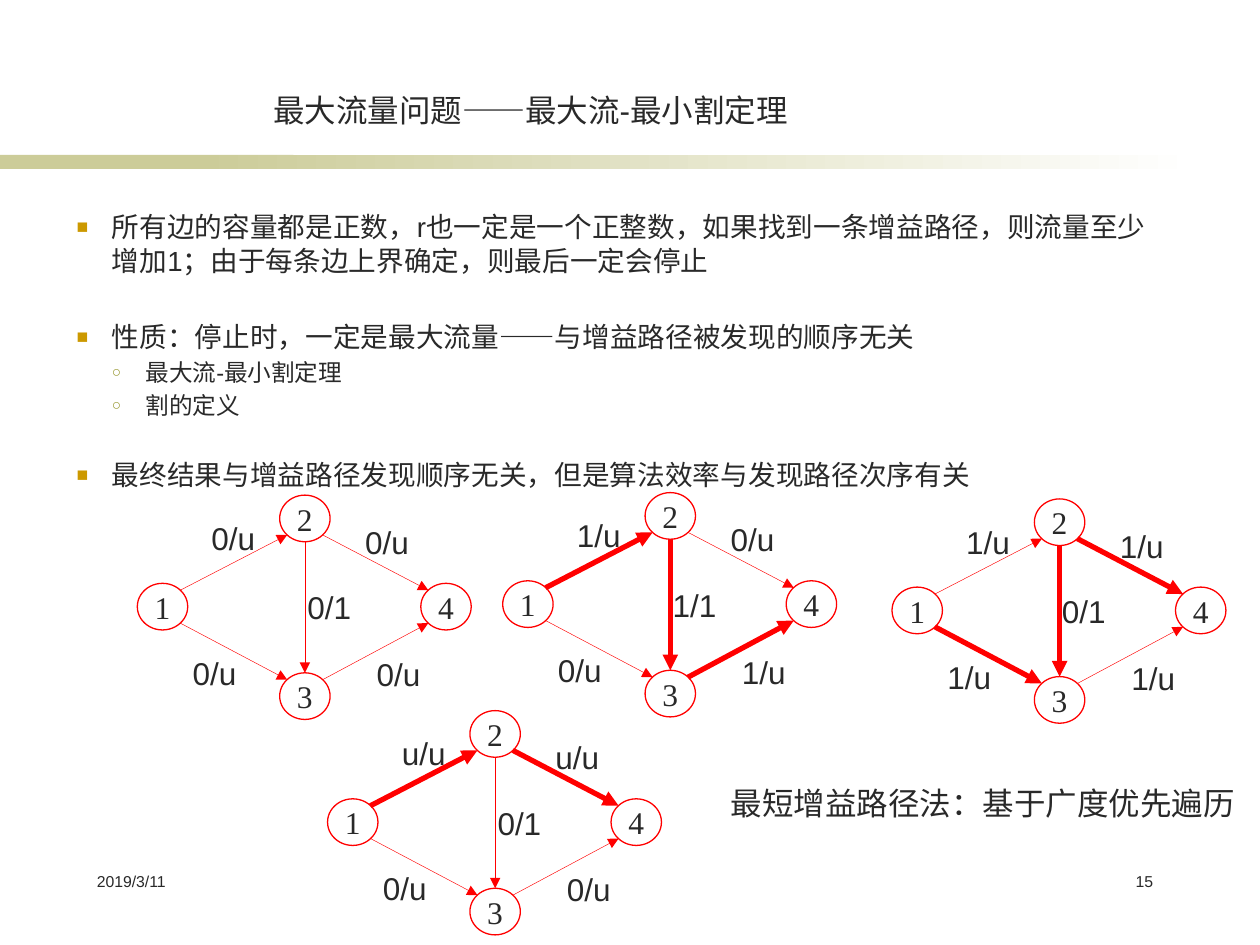
from dataclasses import dataclass
from typing import NamedTuple

from lxml import etree
from pptx import Presentation
from pptx.dml.color import RGBColor
from pptx.enum.shapes import MSO_CONNECTOR, MSO_SHAPE
from pptx.enum.text import MSO_ANCHOR, MSO_AUTO_SIZE, PP_ALIGN
from pptx.oxml.ns import qn
from pptx.util import Inches, Pt

LEFT, MID, RIGHT = PP_ALIGN.LEFT, PP_ALIGN.CENTER, PP_ALIGN.RIGHT
TOP, CENTRE, BASE = MSO_ANCHOR.TOP, MSO_ANCHOR.MIDDLE, MSO_ANCHOR.BOTTOM
GROW = MSO_AUTO_SIZE.SHAPE_TO_FIT_TEXT
RECT, OVAL = MSO_SHAPE.RECTANGLE, MSO_SHAPE.OVAL
STRAIGHT = MSO_CONNECTOR.STRAIGHT


@dataclass(frozen=True)
class Theme:
    ink: str = "292929"
    red: str = "FF0000"
    white: str = "FFFFFF"
    band: str = "CCCC99"
    sans: str = "Arial"
    serif: str = "Times New Roman"
    large: float = 18
    body: float = 15.8
    sub: float = 13.5
    small: float = 9
    thin: float = 0.25
    rim: float = 0.75
    bold: float = 3


class Level(NamedTuple):
    size: float
    indent: float
    hang: float
    mark: str
    color: str
    scale: int


class Item(NamedTuple):
    level: Level
    gap: float
    text: str


class Edge(NamedTuple):
    start: int
    end: int
    label: tuple[float, float]


class Graph(NamedTuple):
    x: float
    y: float
    flows: str
    bold: tuple[int, ...]


THEME = Theme()
MAIN = Level(THEME.body, 0.28, 0.28, "■", "CC9900", 70)
SUB = Level(THEME.sub, 0.55, 0.27, "○", "999933", 65)

# Wider gaps separate the three main points
ITEMS = [
    Item(MAIN, 3.2, "所有边的容量都是正数，r也一定是一个正整数，如果找到一条增益路径，"
                    "则流量至少增加1；由于每条边上界确定，则最后一定会停止"),
    Item(MAIN, 25, "性质：停止时，一定是最大流量——与增益路径被发现的顺序无关"),
    Item(SUB, 2.7, "最大流-最小割定理"),
    Item(SUB, 2.7, "割的定义"),
    Item(MAIN, 22, "最终结果与增益路径发现顺序无关，但是算法效率与发现路径次序有关"),
]

# Node and label places are offsets from the corner of each graph
NODE_W, NODE_H = 0.4, 0.37
NODES = {1: (0, 0.7), 2: (1.13, 0), 3: (1.13, 1.41), 4: (2.25, 0.7)}
EDGES = [
    Edge(1, 2, (0.49, 0.14)),
    Edge(2, 4, (1.71, 0.17)),
    Edge(1, 3, (0.34, 1.21)),
    Edge(3, 4, (1.8, 1.22)),
    Edge(2, 3, (1.25, 0.69)),
]
# Flows follow the order of EDGES, and bold lists the edges on the path
GRAPHS = [
    Graph(1.09, 3.93, "0/u 0/u 0/u 0/u 0/1", ()),
    Graph(3.99, 3.91, "1/u 0/u 0/u 1/u 1/1", (0, 3, 4)),
    Graph(7.08, 3.96, "1/u 1/u 1/u 1/u 0/1", (1, 2, 4)),
    Graph(2.6, 5.64, "u/u u/u 0/u 0/u 0/1", (0, 1)),
]


def rgb(code: str) -> RGBColor:
    return RGBColor.from_string(code)


def write(para, text: str, *, size: float = THEME.large,
          font: str = THEME.sans, align=LEFT) -> None:
    para.alignment = align
    run = para.add_run()
    run.text = text
    run.font.size = Pt(size)
    run.font.name = font
    run.font.color.rgb = rgb(THEME.ink)


def add_box(slide, x: float, y: float, w: float, h: float, *,
            wrap: bool = True, anchor=TOP):
    box = slide.shapes.add_textbox(Inches(x), Inches(y), Inches(w), Inches(h))
    frame = box.text_frame
    frame.word_wrap = wrap
    frame.vertical_anchor = anchor
    if not wrap:
        frame.auto_size = GROW
    return frame


def add_shape(slide, kind, x: float, y: float, w: float, h: float, fill: str):
    shape = slide.shapes.add_shape(
        kind, Inches(x), Inches(y), Inches(w), Inches(h))
    shape.shadow.inherit = False
    shape.fill.solid()
    shape.fill.fore_color.rgb = rgb(fill)
    shape.line.fill.background()
    return shape


def add_item(para, item: Item) -> None:
    level = item.level
    write(para, item.text, size=level.size)
    para.space_before = Pt(item.gap)
    props = para._p.get_or_add_pPr()
    props.set("marL", str(Inches(level.indent)))
    props.set("indent", str(-Inches(level.hang)))
    color = etree.SubElement(props, qn("a:buClr"))
    etree.SubElement(color, qn("a:srgbClr"), val=level.color)
    etree.SubElement(props, qn("a:buSzPct"), val=str(level.scale * 1000))
    etree.SubElement(props, qn("a:buFont"), typeface=THEME.sans)
    etree.SubElement(props, qn("a:buChar"), char=level.mark)


def add_arrow(slide, start: tuple[float, float], end: tuple[float, float],
              width: float) -> None:
    arrow = slide.shapes.add_connector(
        STRAIGHT, *(Inches(v) for v in (*start, *end)))
    arrow.line.color.rgb = rgb(THEME.red)
    arrow.line.width = Pt(width)
    etree.SubElement(arrow.line._get_or_add_ln(), qn("a:tailEnd"),
                     type="triangle")
    etree.SubElement(arrow._element.spPr, qn("a:effectLst"))


def ends(graph: Graph, edge: Edge):
    """Points on the rims of the two nodes that face each other."""
    (ax, ay), (bx, by) = NODES[edge.start], NODES[edge.end]
    down = 1 if by > ay else -1
    dx, dy = (0, NODE_H / 2) if ax == bx else (0.14, 0.13)
    left, top = graph.x + NODE_W / 2, graph.y + NODE_H / 2
    return ((left + ax + dx, top + ay + down * dy),
            (left + bx - dx, top + by - down * dy))


def add_graph(slide, graph: Graph) -> None:
    for name, (x, y) in NODES.items():
        node = add_shape(slide, OVAL, graph.x + x, graph.y + y,
                         NODE_W, NODE_H, THEME.white)
        node.line.color.rgb = rgb(THEME.red)
        node.line.width = Pt(THEME.rim)
        frame = node.text_frame
        frame.word_wrap = False
        frame.vertical_anchor = CENTRE
        write(frame.paragraphs[0], str(name), font=THEME.serif, align=MID)
    for i, (edge, flow) in enumerate(zip(EDGES, graph.flows.split())):
        width = THEME.bold if i in graph.bold else THEME.thin
        add_arrow(slide, *ends(graph, edge), width)
        x, y = edge.label
        frame = add_box(slide, graph.x + x, graph.y + y, 0.55, 0.4, wrap=False)
        write(frame.paragraphs[0], flow)


def main() -> None:
    deck = Presentation()
    deck.slide_width, deck.slide_height = Inches(10), Inches(7.5)
    slide = deck.slides.add_slide(deck.slide_layouts[6])

    # Band under the title
    add_shape(slide, RECT, 0, 1.23, 2.33, 0.11, THEME.band)
    fade = add_shape(slide, RECT, 1.58, 1.23, 7.92, 0.11, THEME.band).fill
    fade.gradient()
    fade.gradient_angle = 0
    for stop, code in zip(fade.gradient_stops, (THEME.band, THEME.white)):
        stop.color.rgb = rgb(code)

    # Title and bullets
    title = add_box(slide, 1.14, 0.44, 6.14, 0.63, anchor=BASE)
    write(title.paragraphs[0], "最大流量问题——最大流-最小割定理", align=MID)
    body = add_box(slide, 0.51, 1.62, 8.9, 4.8)
    for i, item in enumerate(ITEMS):
        add_item(body.add_paragraph() if i else body.paragraphs[0], item)

    # Footer
    date = add_box(slide, 0.67, 6.87, 1.41, 0.5)
    write(date.paragraphs[0], "2019/3/11", size=THEME.small)
    page = add_box(slide, 8.23, 6.87, 1.02, 0.5)
    write(page.paragraphs[0], "15", size=THEME.small, align=RIGHT)

    # Flow graphs and remark
    for graph in GRAPHS:
        add_graph(slide, graph)
    note = add_box(slide, 5.7, 6.17, 4.37, 0.4, wrap=False)
    write(note.paragraphs[0], "最短增益路径法：基于广度优先遍历")

    deck.save("out.pptx")


if __name__ == "__main__":
    main()
